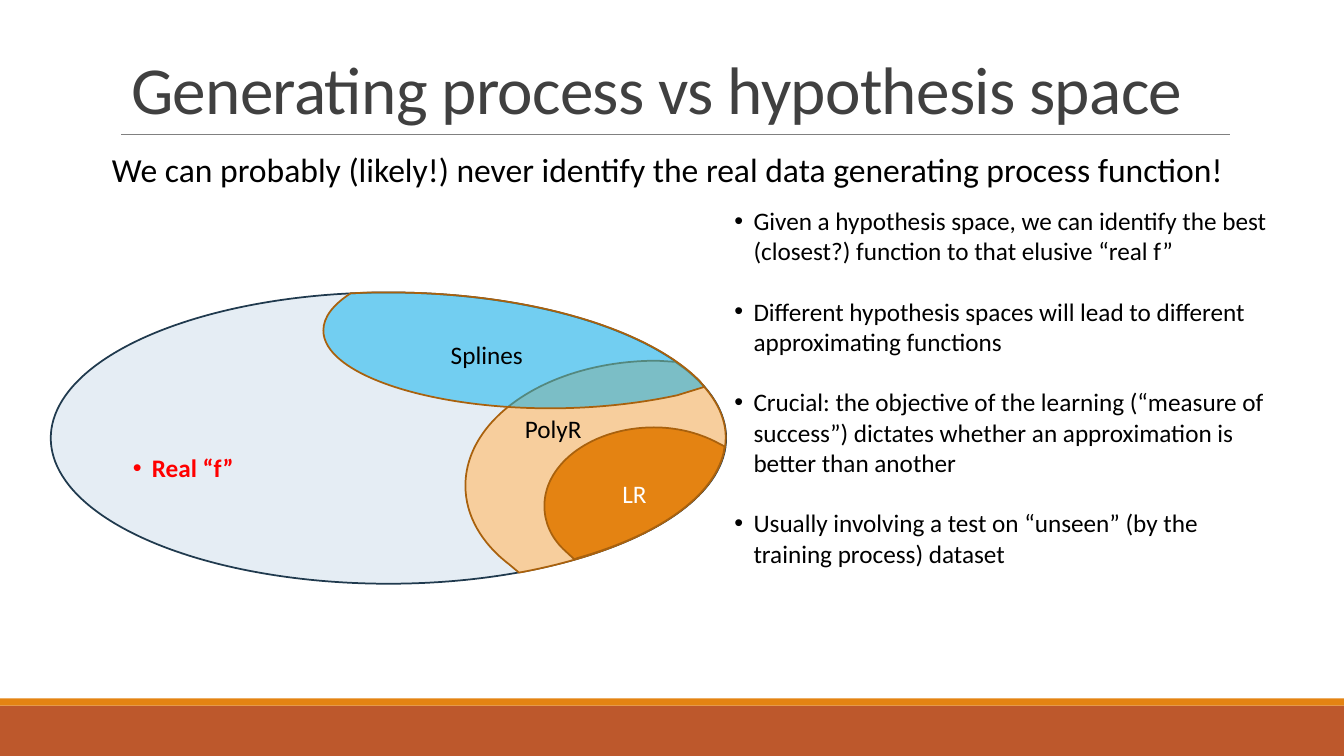
import dataclasses
import typing

import lxml.etree
import pptx
import pptx.dml.color
import pptx.enum.shapes
import pptx.enum.text
import pptx.oxml.ns
import pptx.util

Cm = pptx.util.Cm
Pt = pptx.util.Pt
qn = pptx.oxml.ns.qn
Kind = pptx.enum.shapes.MSO_SHAPE
Align = pptx.enum.text.PP_ALIGN
Anchor = pptx.enum.text.MSO_ANCHOR

FONT = "Calibri"
HANG = Cm(0.48)
COLORS = {
    "rust": "BD582C", "orange": "E48312", "peach": "F7CE9D", "brown": "A9610D",
    "mist": "CCDDEA", "navy": "203A4E", "sky": "00B0F0", "rule": "808080",
    "title": "404040", "black": "000000", "white": "FFFFFF", "red": "FF0000",
}
Box = tuple[float, float, float, float]


@dataclasses.dataclass
class Solid:
    kind: Kind
    box: Box
    fill: str
    line: str | None = None
    alpha: int = 100


@dataclasses.dataclass
class Region:
    """A closed outline; a step is a line end (x, y) or three curve points."""
    start: tuple[float, float]
    steps: list[tuple[float, ...]]
    fill: str
    alpha: int = 100
    label: str = ""


@dataclasses.dataclass
class Note:
    box: Box
    lines: list[str]
    size: int = 18
    color: str = "black"
    bold: bool = False
    bullet: bool = False


SOLIDS = [
    Solid(Kind.RECTANGLE, (0, 17.78, 33.87, 1.27), "rust"),
    Solid(Kind.RECTANGLE, (0, 17.6, 33.87, 0.18), "orange"),
    Solid(Kind.OVAL, (1.28, 7.37, 17.02, 7.34), "mist", "navy", 50),
]
POLY = Region((16.56, 9.09), [
    (17.02, 9.12), (17.27, 9.3),
    (17.91, 9.8, 18.29, 10.41, 18.29, 11.02),
    (18.29, 12.55, 16.15, 13.87, 13.08, 14.43),
    (12.83, 14.22),
    (12.14, 13.69, 11.73, 13, 11.73, 12.24),
    (11.73, 10.49, 13.89, 9.09, 16.56, 9.09),
], "peach")
LINEAR = Region((16.48, 10.77), [
    (17.04, 10.77, 17.58, 10.9, 18.03, 11.13),
    (18.26, 11.25), (18.24, 11.4),
    (17.98, 12.52, 16.59, 13.49, 14.53, 14.07),
    (14.48, 14.1), (14.2, 13.84),
    (13.89, 13.54, 13.72, 13.16, 13.72, 12.75),
    (13.72, 11.66, 14.96, 10.77, 16.48, 10.77),
], "orange", label="LR")
SPLINES = Region((9.78, 7.37), [
    (13.31, 7.37, 16.33, 8.28, 17.63, 9.6),
    (17.75, 9.75), (17.07, 9.96),
    (16.15, 10.16, 15.04, 10.29, 13.87, 10.29),
    (10.72, 10.29, 8.15, 9.4, 8.15, 8.33),
    (8.15, 7.98, 8.41, 7.67, 8.84, 7.39),
    (8.92, 7.39),
    (9.19, 7.37, 9.5, 7.37, 9.78, 7.37),
], "sky", 50)
# Drawing order, from back to front
PARTS = [
    POLY,
    LINEAR,
    Note((12.98, 10.29, 2.41, 0.99), ["PolyR"]),
    SPLINES,
    Note((11.11, 8.43, 2.41, 0.99), ["Splines"]),
    Note((3.1, 11.28, 3.35, 1.02), ["Real “f”"], color="red", bold=True, bullet=True),
    Note((18.26, 5.05, 14.05, 9.5), [
        "Given a hypothesis space, we can identify the best (closest?) function "
        "to that elusive “real f”",
        "Different hypothesis spaces will lead to different approximating functions",
        "Crucial: the objective of the learning (“measure of success”) dictates "
        "whether an approximation is better than another",
        "Usually involving a test on “unseen” (by the training process) dataset",
    ], bullet=True),
    Note((2.57, 3.63, 28.78, 1.27), [
        "We can probably (likely!) never identify the real data generating "
        "process function!"], size=24),
]


def shade(name: str) -> pptx.dml.color.RGBColor:
    return pptx.dml.color.RGBColor.from_string(COLORS[name])


def write(frame: typing.Any, lines: list[str], *, size: int = 18, color: str = "black",
          bold: bool = False, bullet: bool = False, align: Align = Align.LEFT,
          gap: float = 21.6, pitch: float | None = None, track: int = 0) -> None:
    """Fill a text frame; track is letter spacing in hundredths of a point."""
    frame.word_wrap = True
    for i, line in enumerate(lines):
        para = frame.add_paragraph() if i else frame.paragraphs[0]
        if bullet:
            props = para._p.get_or_add_pPr()
            props.set("marL", str(HANG))
            props.set("indent", str(-HANG))
            lxml.etree.SubElement(props, qn("a:buFont"), typeface="Arial")
            lxml.etree.SubElement(props, qn("a:buChar"), char="•")
        para.alignment = align
        if i:
            para.space_before = Pt(gap)
        if pitch:
            para.line_spacing = pitch
        run = para.add_run()
        run.text = line
        run.font.name = FONT
        run.font.size = Pt(size)
        run.font.bold = bold
        run.font.color.rgb = shade(color)
        if track:
            run._r.get_or_add_rPr().set("spc", str(track))


def paint(shape: typing.Any, fill: str, line: str | None, alpha: int) -> None:
    shape.shadow.inherit = False
    shape.fill.solid()
    shape.fill.fore_color.rgb = shade(fill)
    if alpha < 100:
        tint = shape._element.spPr.find(qn("a:solidFill"))[0]
        lxml.etree.SubElement(tint, qn("a:alpha"), val=str(alpha * 1000))
    if line:
        shape.line.color.rgb = shade(line)
        shape.line.width = Pt(1.25)
    else:
        shape.line.fill.background()


def add_region(shapes: typing.Any, region: Region) -> None:
    """Draw all points as line ends, then join each curve's three into one."""
    pen = shapes.build_freeform(*map(Cm, region.start))
    for step in region.steps:
        pen.add_line_segments(
            [(Cm(x), Cm(y)) for x, y in zip(step[::2], step[1::2])], close=False)
    pen.add_line_segments([], close=True)
    shape = pen.convert_to_shape()
    ends = iter(list(shape._element.iter(qn("a:lnTo"))))
    for step in region.steps:
        group = [next(ends) for _ in step[::2]]
        if len(group) == 3:
            curve = lxml.etree.Element(qn("a:cubicBezTo"))
            group[0].addprevious(curve)
            for end in group:
                curve.append(end[0])
                end.getparent().remove(end)
    paint(shape, region.fill, "brown", region.alpha)
    if region.label:
        shape.text_frame.vertical_anchor = Anchor.MIDDLE
        write(shape.text_frame, [region.label], color="white", align=Align.CENTER)


def add_note(shapes: typing.Any, note: Note) -> None:
    frame = shapes.add_textbox(*map(Cm, note.box)).text_frame
    write(frame, note.lines, size=note.size, color=note.color, bold=note.bold,
          bullet=note.bullet)


def main() -> None:
    deck = pptx.Presentation()
    deck.slide_width, deck.slide_height = Cm(33.87), Cm(19.05)
    shapes = deck.slides.add_slide(deck.slide_layouts[5]).shapes
    title = shapes.title
    title.left, title.top, title.width, title.height = map(Cm, (3.05, 0.58, 27.94, 2.79))
    title.text_frame.vertical_anchor = Anchor.BOTTOM
    write(title.text_frame, ["Generating process vs hypothesis space"], size=48,
          color="title", pitch=0.85, track=-50)
    rule = shapes.add_connector(pptx.enum.shapes.MSO_CONNECTOR.STRAIGHT,
                                *map(Cm, (3.05, 3.38, 30.99, 3.38)))
    rule.line.color.rgb = shade("rule")
    rule.line.width = Pt(0.5)
    lxml.etree.SubElement(rule._element.spPr, qn("a:effectLst"))
    for solid in SOLIDS:
        shape = shapes.add_shape(solid.kind, *map(Cm, solid.box))
        paint(shape, solid.fill, solid.line, solid.alpha)
    for part in PARTS:
        add_part = add_region if isinstance(part, Region) else add_note
        add_part(shapes, part)
    deck.save("out.pptx")


if __name__ == "__main__":
    main()
